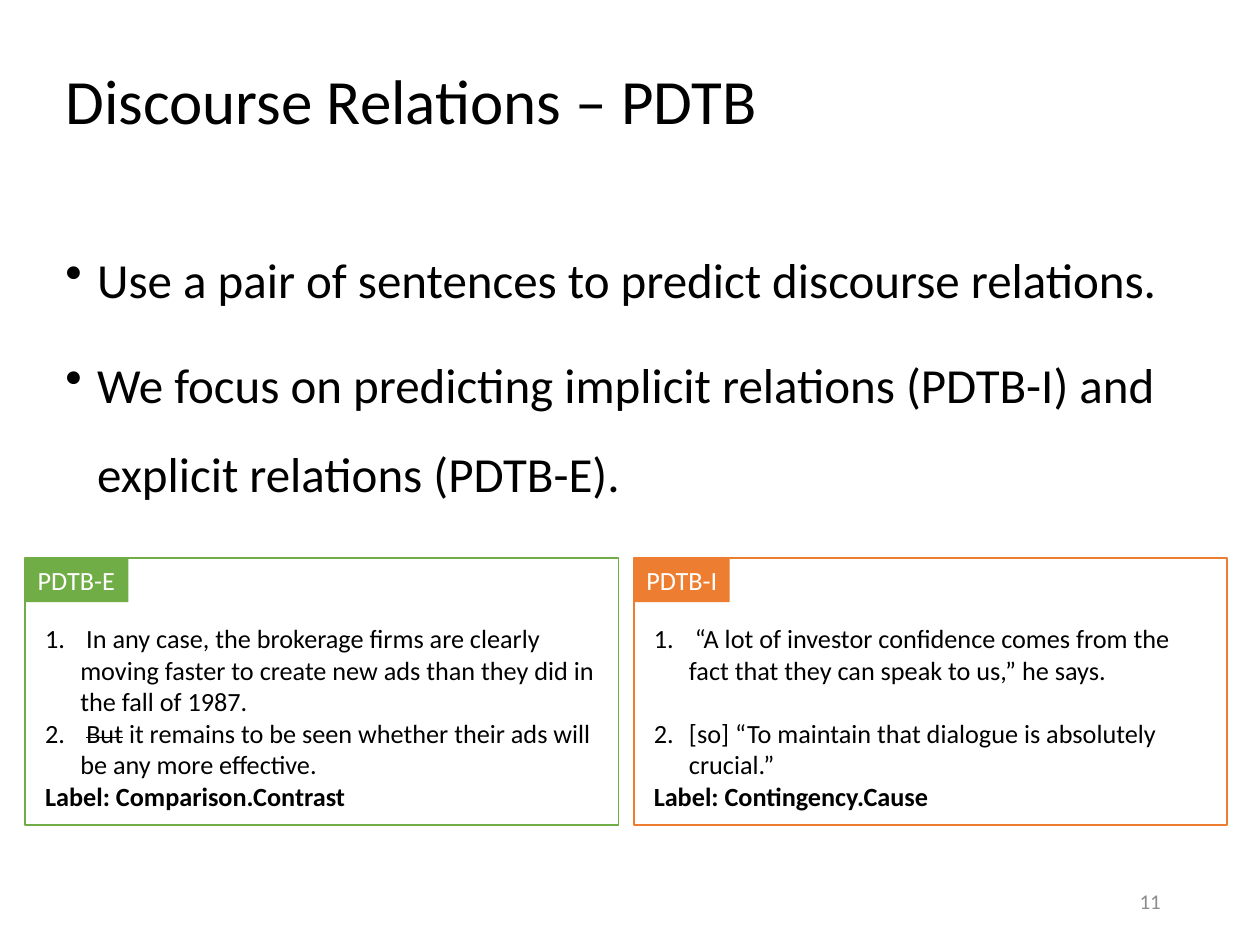
from lxml import etree
from pptx import Presentation
from pptx.dml.color import RGBColor
from pptx.enum.shapes import MSO_SHAPE
from pptx.enum.text import MSO_ANCHOR, MSO_AUTO_SIZE, PP_ALIGN
from pptx.oxml.ns import qn
from pptx.util import Cm, Pt

RECTANGLE = MSO_SHAPE.RECTANGLE
TOP, MIDDLE = MSO_ANCHOR.TOP, MSO_ANCHOR.MIDDLE
LEFT, RIGHT = PP_ALIGN.LEFT, PP_ALIGN.RIGHT
NO_AUTOFIT = MSO_AUTO_SIZE.NONE
TITLE_ONLY = 5

BLACK, WHITE, GRAY = "000000", "FFFFFF", "8C8C8C"
GREEN, ORANGE = "70AD47", "ED7D31"


def color(value):
    return RGBColor.from_string(value)


class SlideBuilder:
    font_name = "Calibri"

    def __init__(self, slide):
        self.slide = slide

    def style(self, paragraph, size, text_color=BLACK, bold=False, align=LEFT):
        paragraph.alignment = align
        font = paragraph.font
        font.name, font.size, font.bold = self.font_name, Pt(size), bold
        font.color.rgb = color(text_color)

    def list_mark(self, paragraph, tag, indent, **attributes):
        properties = paragraph._p.get_or_add_pPr()
        properties.set("marL", str(Cm(indent)))
        properties.set("indent", str(-Cm(indent)))
        etree.SubElement(properties, qn(tag), attributes)

    def title(self, text, left, top, width, height):
        shape = self.slide.shapes.title
        shape.left, shape.top = Cm(left), Cm(top)
        shape.width, shape.height = Cm(width), Cm(height)
        frame = shape.text_frame
        frame.text = text
        frame.auto_size, frame.vertical_anchor = NO_AUTOFIT, MIDDLE
        frame.paragraphs[0].line_spacing = 0.9
        self.style(frame.paragraphs[0], 36)

    def text_box(self, left, top, width, height, anchor=TOP):
        shape = self.slide.shapes.add_textbox(Cm(left), Cm(top), Cm(width), Cm(height))
        frame = shape.text_frame
        frame.word_wrap, frame.vertical_anchor = True, anchor
        return frame

    def add_paragraph(self, frame):
        first = frame.paragraphs[0]
        return frame.add_paragraph() if first.runs else first

    def bullets(self, items, left, top, width, height):
        frame = self.text_box(left, top, width, height)
        for text, line_spacing, space_before in items:
            paragraph = self.add_paragraph(frame)
            paragraph.text = text
            self.list_mark(paragraph, "a:buChar", 0.64, char="•")
            paragraph.line_spacing = line_spacing
            paragraph.space_before = Pt(space_before)
            self.style(paragraph, 28)

    def rectangle(self, left, top, width, height, fill=None, line=None):
        shape = self.slide.shapes.add_shape(
            RECTANGLE, Cm(left), Cm(top), Cm(width), Cm(height))
        shape.shadow.inherit = False
        if fill:
            shape.fill.solid()
            shape.fill.fore_color.rgb = color(fill)
        else:
            shape.fill.background()
        if line:
            shape.line.color.rgb = color(line)
            shape.line.width = Pt(1)
        else:
            shape.line.fill.background()
        return shape

    def example(self, left, tag, tag_width, accent, sentences, label, gap=0):
        """Framed pair of numbered sentences with a tag and a relation label."""
        top = 11.25
        frame = self.text_box(left + 0.15, top + 1.17, 11.61, 4.11)
        for index, runs in enumerate(sentences):
            paragraph = self.add_paragraph(frame)
            for text, struck in runs:
                run = paragraph.add_run()
                run.text = text
                if struck:
                    run._r.get_or_add_rPr().set("strike", "sngStrike")
            self.list_mark(paragraph, "a:buAutoNum", 0.71, type="arabicPeriod")
            if index:
                paragraph.space_before = Pt(gap)
            self.style(paragraph, 15)
        paragraph = self.add_paragraph(frame)
        paragraph.text = label
        self.style(paragraph, 15, bold=True)

        self.rectangle(left, top, 11.96, 5.38, line=accent)
        tag_frame = self.rectangle(left, top, tag_width, 0.89, fill=accent).text_frame
        tag_frame.word_wrap, tag_frame.vertical_anchor = False, TOP
        tag_frame.text = tag
        self.style(tag_frame.paragraphs[0], 15, WHITE)

    def page_number(self, text):
        frame = self.text_box(17.93, 17.65, 5.72, 1.02, MIDDLE)
        frame.text = text
        self.style(frame.paragraphs[0], 12, GRAY, align=RIGHT)


def main():
    presentation = Presentation()
    presentation.slide_width, presentation.slide_height = Cm(25.4), Cm(19.05)
    slide = presentation.slides.add_slide(presentation.slide_layouts[TITLE_ONLY])
    builder = SlideBuilder(slide)

    # Title and main points
    builder.title("Discourse Relations – PDTB", 1.07, 0.71, 20.35, 2.77)
    builder.bullets([
        ("Use a pair of sentences to predict discourse relations.", 2.0, 0),
        ("We focus on predicting implicit relations (PDTB-I) and "
         "explicit relations (PDTB-E).", 1.5, 10),
    ], 1.07, 3.71, 23.37, 6.99)

    # Explicit and implicit examples
    builder.example(0.51, "PDTB-E", 2.08, GREEN, [
        [(" In any case, the brokerage firms are clearly moving faster to create "
          "new ads than they did in the fall of 1987.", False)],
        [(" ", False), ("But", True),
         (" it remains to be seen whether their ads will be any more effective.",
          False)],
    ], "Label: Comparison.Contrast")
    builder.example(12.78, "PDTB-I", 1.93, ORANGE, [
        [(" “A lot of investor confidence comes from the fact that they can speak "
          "to us,” he says.", False)],
        [("[so] “To maintain that dialogue is absolutely crucial.”", False)],
    ], "Label: Contingency.Cause", gap=18)

    # Footer
    builder.page_number("11")

    presentation.save("out.pptx")


if __name__ == "__main__":
    main()
